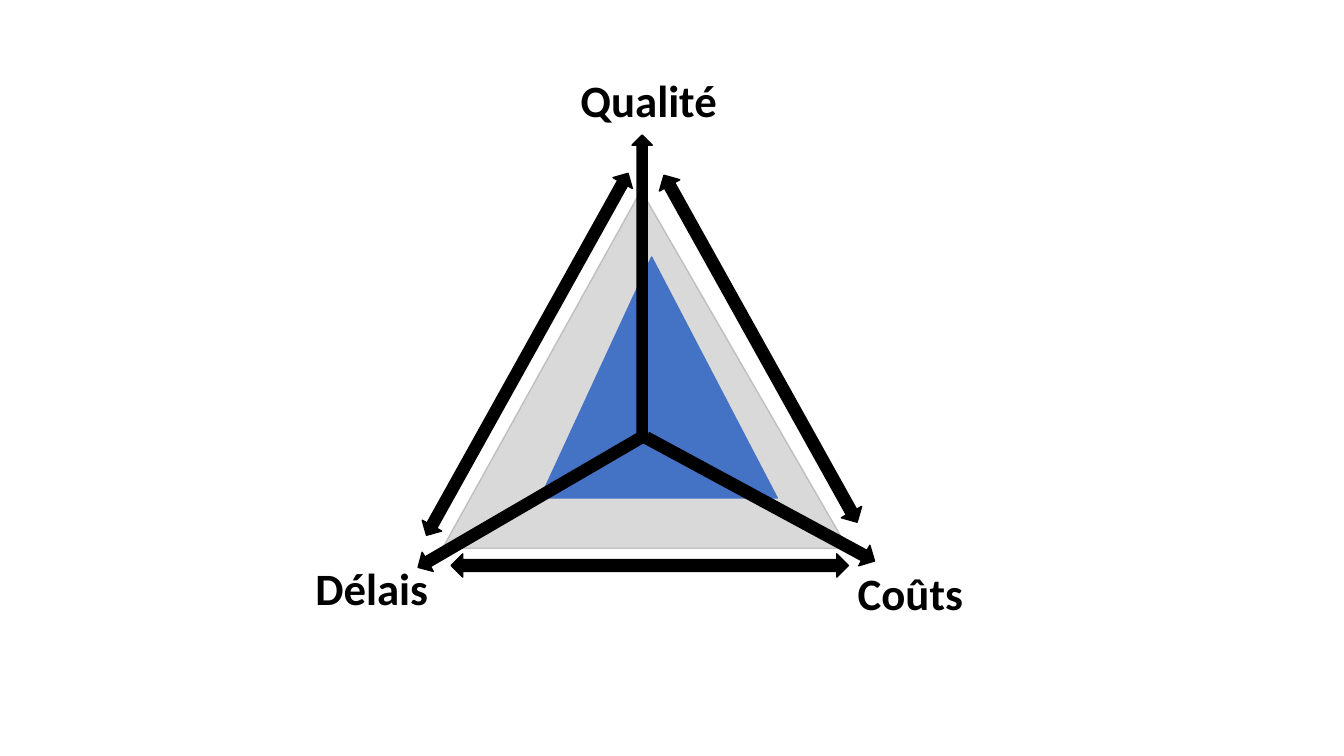
import pptx
import pptx.util
import pptx.dml.color
import pptx.enum.shapes
import pptx.enum.text

MSO = pptx.enum.shapes.MSO_SHAPE
BLACK, BLUE, GREY, EDGE = "000000", "4472C4", "D9D9D9", "BFBFBF"

# Places and sizes are percentages of the slide's width (x) and height (y).
TRIANGLES = [  # left, top, width, height, apex, fill, line
    (32.93, 25.2, 30.15, 47.33, 0.49, GREY, EDGE),
    (40.2, 34, 17.63, 31.87, 0.47, BLUE, BLUE),
]
ARROWS = [  # kind, centre x, centre y, thickness, length, rotation
    (MSO.DOWN_ARROW, 39.6, 66.27, 1.65, 34.93, 59.8),
    (MSO.DOWN_ARROW, 56.59, 66.07, 1.73, 34.27, 298.4),
    (MSO.DOWN_ARROW, 47.78, 38.2, 1.5, 40.67, 180),
    (MSO.UP_DOWN_ARROW, 56.59, 46.13, 1.73, 52.53, 330.9),
    (MSO.UP_DOWN_ARROW, 48.34, 74.8, 1.73, 52.53, 270),
    (MSO.UP_DOWN_ARROW, 39.23, 46.87, 1.65, 54.8, 29.1),
]
LABELS = [("Coûts", 63.08, 74.13), ("Qualité", 42.45, 8.93), ("Délais", 22.73, 73.47)]
LABEL_SIZE = (22.05, 8.53)
LABEL_FONT = {"name": "Calibri", "size": pptx.util.Pt(32), "bold": True}

SLIDE_W, SLIDE_H = pptx.util.Inches(13.33), pptx.util.Inches(7.5)


def color(value):
    return pptx.dml.color.RGBColor.from_string(value)


def box(x, y, w, h):
    """Turn percentages of the slide into lengths."""
    return [round(share * side / 100)
            for share, side in zip((x, y, w, h), (SLIDE_W, SLIDE_H) * 2)]


def add_figure(s, kind, bounds, fill, line):
    sp = s.shapes.add_shape(kind, *box(*bounds))
    sp.shadow.inherit = False
    sp.fill.solid()
    sp.fill.fore_color.rgb = color(fill)
    sp.line.color.rgb = color(line)
    sp.line.width = pptx.util.Pt(1)
    return sp


def add_triangle(s, x, y, w, h, apex, fill, line):
    sp = add_figure(s, MSO.ISOSCELES_TRIANGLE, (x, y, w, h), fill, line)
    sp.adjustments[0] = apex


def add_arrow(s, kind, cx, cy, thickness, length, rotation):
    bounds = (cx - thickness / 2, cy - length / 2, thickness, length)
    add_figure(s, kind, bounds, BLACK, BLACK).rotation = rotation


def add_label(s, text, x, y):
    tf = s.shapes.add_textbox(*box(x, y, *LABEL_SIZE)).text_frame
    tf.word_wrap = True
    tf.auto_size = pptx.enum.text.MSO_AUTO_SIZE.SHAPE_TO_FIT_TEXT
    r = tf.paragraphs[0].add_run()
    r.text = text
    for key, value in LABEL_FONT.items():
        setattr(r.font, key, value)
    r.font.color.rgb = color(BLACK)


def main():
    prs = pptx.Presentation()
    prs.slide_width, prs.slide_height = SLIDE_W, SLIDE_H
    s = prs.slides.add_slide(prs.slide_layouts[6])
    for add, rows in ((add_triangle, TRIANGLES), (add_arrow, ARROWS), (add_label, LABELS)):
        for row in rows:
            add(s, *row)
    prs.save("out.pptx")


if __name__ == "__main__":
    main()
